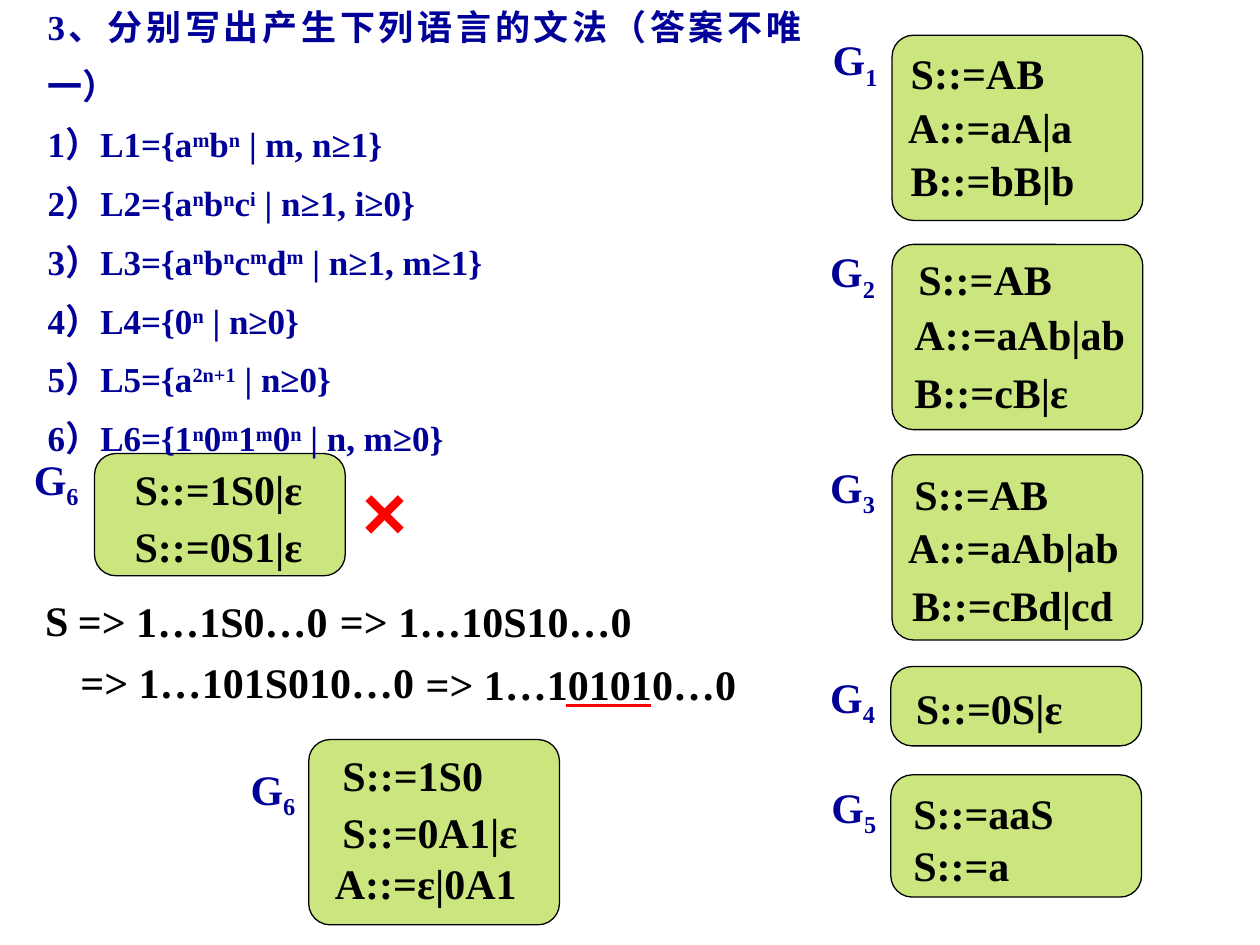
"""Build the slide of grammar exercises with their answer cards."""
from lxml import etree
from pptx import Presentation
from pptx.dml import color
from pptx.enum import shapes, text
from pptx.oxml import ns
from pptx.util import Inches, Pt

BLACK = color.RGBColor(0x00, 0x00, 0x00)
NAVY = color.RGBColor(0x00, 0x00, 0x99)
RED = color.RGBColor(0xFF, 0x00, 0x00)
LIME = color.RGBColor(0x99, 0xCC, 0x00)

CARD_WIDTH = 1.99
CORNER = 0.17
LABEL_SIZE = (0.74, 0.56)
LINE_HEIGHT = 0.5

CARDS = [
    ("1", (7.08, 0.28), 1.47, (6.51, 0.22),
     [("S::=AB", 7.13, 0.33), ("A::=aA|a", 7.11, 0.76), ("B::=bB|b", 7.13, 1.18)]),
    ("2", (7.08, 1.94), 1.47, (6.49, 1.9),
     [("S::=AB", 7.19, 1.96), ("A::=aAb|ab", 7.16, 2.4), ("B::=cB|ε", 7.16, 2.86)]),
    ("3", (7.08, 3.61), 1.47, (6.49, 3.61),
     [("S::=AB", 7.16, 3.67), ("A::=aAb|ab", 7.11, 4.09), ("B::=cBd|cd", 7.14, 4.55)]),
    ("4", (7.07, 5.29), 0.63, (6.49, 5.28), [("S::=0S|ε", 7.17, 5.37)]),
    ("5", (7.07, 6.15), 0.97, (6.5, 6.15), [("S::=aaS", 7.15, 6.2), ("S::=a", 7.15, 6.61)]),
    ("6", (0.75, 3.6), 0.97, (0.17, 3.55), [("S::=1S0|ε", 0.97, 3.63), ("S::=0S1|ε", 0.97, 4.08)]),
    ("6", (2.45, 5.87), 1.47, (1.89, 6.01),
     [("S::=1S0", 2.62, 5.9), ("S::=0A1|ε", 2.62, 6.35), ("A::=ε|0A1", 2.56, 6.76)]),
]

DERIVATION = [
    ("S", 0.26, 4.67, 0.37),
    ("=> 1…1S0…0", 0.52, 4.68, 2.18),
    ("=> 1…10S10…0", 2.6, 4.68, 2.6),
    ("=> 1…101S010…0", 0.54, 5.16, 2.93),
    ("=> 1…101010…0", 3.28, 5.18, 2.74),
]

QUESTIONS = [
    "3、分别写出产生下列语言的文法（答案不唯一）",
    "1）L1={a^m^b^n^ | m, n≥1}",
    "2）L2={a^n^b^n^c^i^ | n≥1, i≥0}",
    "3）L3={a^n^b^n^c^m^d^m^ | n≥1, m≥1}",
    "4）L4={0^n^ | n≥0}",
    "5）L5={a^2n+1^ | n≥0}",
    "6）L6={1^n^0^m^1^m^0^n^ | n, m≥0}",
]


def add_text(at, lines, ink=BLACK, size=24, font="Times New Roman", shift=30000, wrap=True, **layout):
    """Add a text box; parts between carets are shifted off the baseline."""
    box = page.shapes.add_textbox(*map(Inches, at))
    frame = box.text_frame
    frame.word_wrap = wrap
    frame.auto_size = text.MSO_AUTO_SIZE.SHAPE_TO_FIT_TEXT
    for index, line in enumerate(lines):
        para = frame.paragraphs[0] if index == 0 else frame.add_paragraph()
        for name, value in layout.items():
            setattr(para, name, value)
        for part, words in enumerate(line.split("^")):
            if not words:
                continue
            span = para.add_run()
            span.text = words
            for name, value in {"name": font, "size": Pt(size), "bold": True}.items():
                setattr(span.font, name, value)
            span.font.color.rgb = ink
            if part % 2:
                span.font._element.set("baseline", str(shift))
    return box


deck = Presentation()
deck.slide_width, deck.slide_height = Inches(10), Inches(7.5)
page = deck.slides.add_slide(deck.slide_layouts[6])

for number, corner, height, label, rules in CARDS:
    card = page.shapes.add_shape(
        shapes.MSO_SHAPE.ROUNDED_RECTANGLE, *map(Inches, (*corner, CARD_WIDTH, height)))
    card.adjustments[0] = CORNER / height
    card.shadow.inherit = False
    card.fill.solid()
    card.fill.fore_color.rgb = LIME
    tint = card._element.spPr.find(".//" + ns.qn("a:srgbClr"))
    etree.SubElement(tint, ns.qn("a:alpha"), val="50000")
    card.line.color.rgb = BLACK
    card.line.width = Pt(0.75)
    add_text((*label, *LABEL_SIZE), [f"G^{number}^"], NAVY, shift=-25000)
    for rule, left, top in rules:
        add_text((left, top, 2.1, LINE_HEIGHT), [rule])

for step, left, top, width in DERIVATION:
    add_text((left, top, width, LINE_HEIGHT), [step], wrap=step == "S")

add_text((2.78, 3.63, 0.55, 0.84), ["×"], RED, size=44, font="Arial", wrap=False)

underline = page.shapes.add_connector(
    shapes.MSO_CONNECTOR.STRAIGHT, *map(Inches, (4.49, 5.6, 5.17, 5.6)))
underline.line.color.rgb = RED
underline.line.width = Pt(2)
etree.SubElement(underline._element.spPr, ns.qn("a:effectLst"))

questions = add_text((0.28, 0.09, 6.18, 3.37), QUESTIONS, NAVY, size=20,
                     alignment=text.PP_ALIGN.JUSTIFY, line_spacing=1.4)
questions.text_frame.vertical_anchor = text.MSO_ANCHOR.MIDDLE

deck.save("out.pptx")
